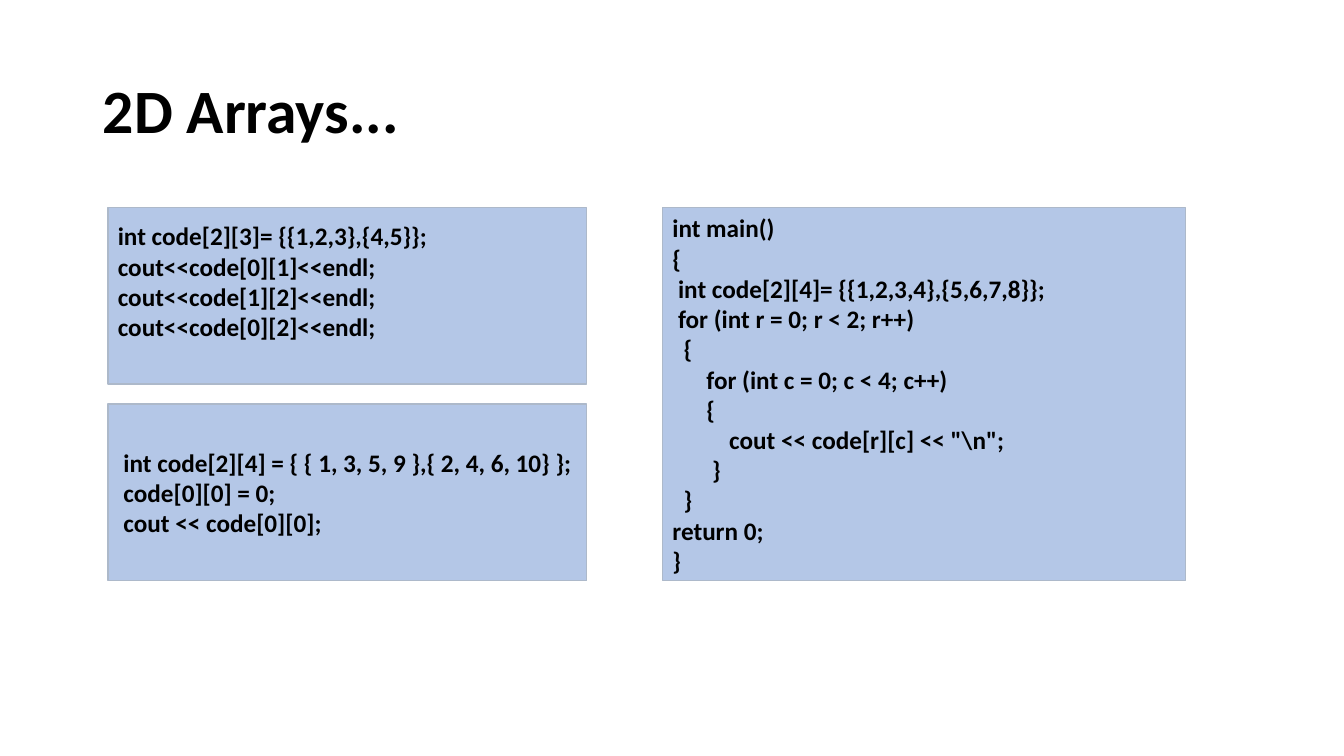
from pptx import Presentation
from pptx.dml.color import RGBColor
from pptx.enum.shapes import MSO_SHAPE
from pptx.enum.text import MSO_ANCHOR, PP_ALIGN
from pptx.util import Inches, Pt

TOP, LEFT, WIDE, HIGH, GAP = 2.06, 1.07, 4.75, 1.75, 0.2

INIT = """int code[2][3]= {{1,2,3},{4,5}};
cout<<code[0][1]<<endl;
cout<<code[1][2]<<endl;
cout<<code[0][2]<<endl;"""

ASSIGN = """ int code[2][4] = { { 1, 3, 5, 9 },{ 2, 4, 6, 10} };
 code[0][0] = 0;
 cout << code[0][0];"""

LOOP = r"""int main()
{
 int code[2][4]= {{1,2,3,4},{5,6,7,8}};
 for (int r = 0; r < 2; r++)
  {
      for (int c = 0; c < 4; c++)
      {
          cout << code[r][c] << "\n";
       }
  }
return 0;
}"""


def color(value):
    return RGBColor.from_string(value)


def add_line(para, text, size):
    para.alignment = PP_ALIGN.LEFT
    run = para.add_run()
    run.text = text
    font = run.font
    font.name, font.size, font.bold = "Calibri", Pt(size), True
    font.color.rgb = color("000000")


def set_title(slide, text, box):
    title = slide.shapes.title
    title.left, title.top, title.width, title.height = map(Inches, box)
    frame = title.text_frame
    frame.vertical_anchor = MSO_ANCHOR.MIDDLE
    para = frame.paragraphs[0]
    para.line_spacing = 0.9
    add_line(para, text, 44)


def add_code(slide, code, box, anchor=MSO_ANCHOR.MIDDLE, inset=0.05):
    """Add a blue panel with one paragraph per line of code."""
    panel = slide.shapes.add_shape(MSO_SHAPE.RECTANGLE, *map(Inches, box))
    panel.shadow.inherit = False
    panel.fill.solid()
    panel.fill.fore_color.rgb = color("B4C7E7")
    panel.line.color.rgb = color("ADB9CA")
    panel.line.width = Pt(1)
    frame = panel.text_frame
    frame.word_wrap = True
    frame.vertical_anchor = anchor
    frame.margin_top = Inches(inset)
    for i, text in enumerate(code.split("\n")):
        para = frame.add_paragraph() if i else frame.paragraphs[0]
        add_line(para, text, 18)


def main():
    deck = Presentation()
    deck.slide_width, deck.slide_height = Inches(13.33), Inches(7.5)
    slide = deck.slides.add_slide(deck.slide_layouts[5])
    set_title(slide, "2D Arrays...", (0.92, 0.4, 11.5, 1.45))
    add_code(slide, INIT, (LEFT, TOP, WIDE, HIGH), MSO_ANCHOR.TOP, 0.13)
    add_code(slide, ASSIGN, (LEFT, TOP + HIGH + GAP, WIDE, HIGH))
    add_code(slide, LOOP, (LEFT + WIDE + 0.75, TOP, 5.19, 2 * HIGH + GAP))
    deck.save("out.pptx")


if __name__ == "__main__":
    main()
